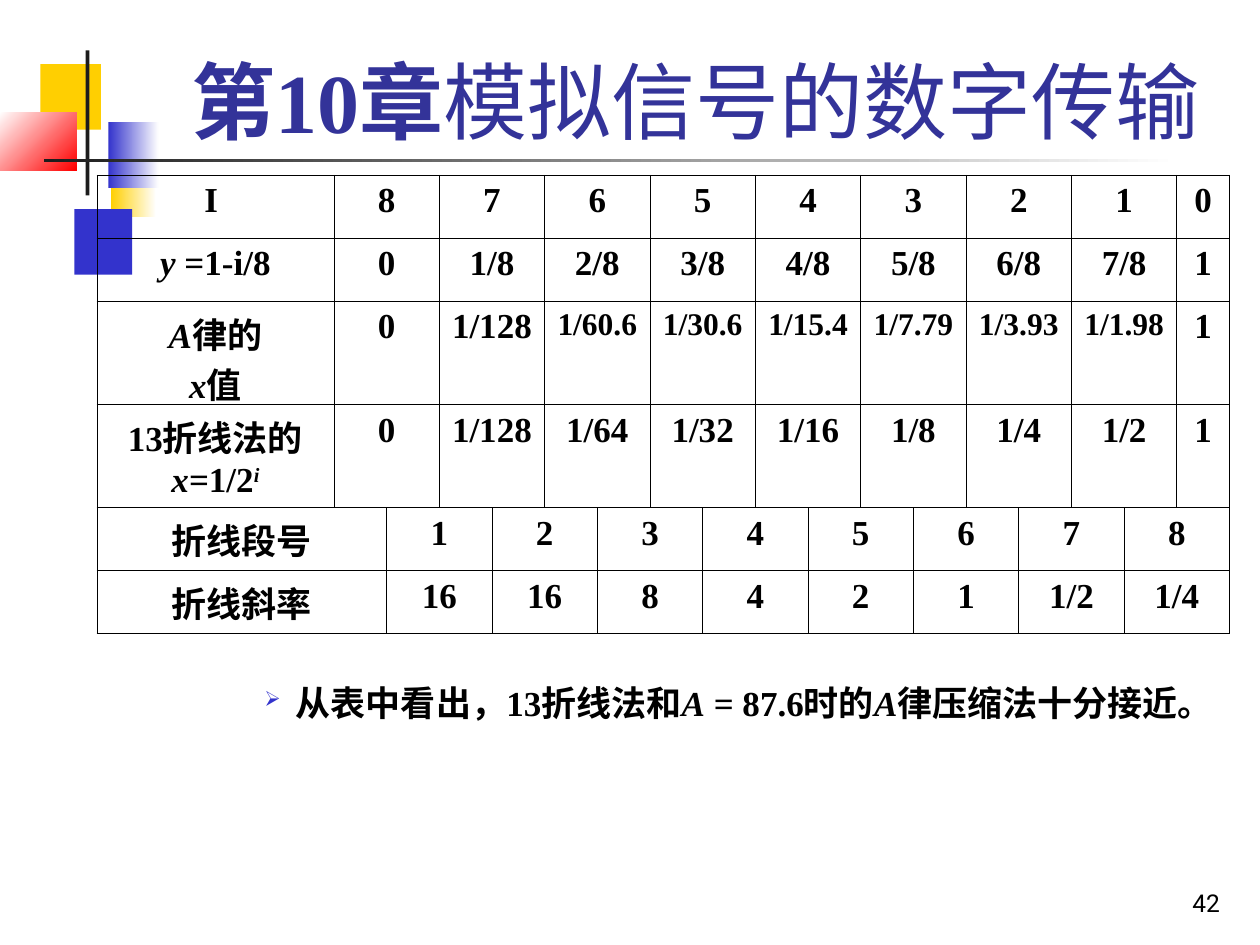
from lxml import etree
from pptx import Presentation
from pptx.dml.color import RGBColor
from pptx.enum import shapes, text
from pptx.oxml import ns
from pptx.util import Inches, Pt

HUE = {"gold": "FFCF01", "blue": "3333CC", "red": "FF0000", "dark": "1C1C1C",
       "white": "FFFFFF", "black": "000000", "title": "333399"}
SERIF = "Times New Roman"
DECOR = [
    ((0.88, 1.2, 0.36, 0.52), ("gold", "white"), 0),
    ((0.59, 1.66, 0.46, 0.52), ("blue",), 0),
    ((0.32, 0.51, 0.48, 0.52), ("gold",), 0),
    ((0.86, 0.97, 0.4, 0.52), ("blue", "white"), 0),
    ((0, 0.89, 0.61, 0.46), ("white", "red"), 315),
    ((0.68, 0.4, 0.03, 1.15), ("dark",), 0),
    ((0.35, 1.26, 9, 0.03), ("dark", "white"), 0),
]
TITLE = ("第10章", "模拟信号的数字传输")
NOTE = "从表中看出，13折线法和*A* = 87.6时的*A*律压缩法十分接近。"
ROWS = [
    ("I ", "8 7 6 5 4 3 2 1 0"),
    ("*y* =1-i/8", "0 1/8 2/8 3/8 4/8 5/8 6/8 7/8 1"),
    ("*A*律的\n*x*值", "0 1/128 1/60.6 1/30.6 1/15.4 1/7.79 1/3.93 1/1.98 1"),
    ("13折线法的\n*x*=1/2*^i*", "0 1/128 1/64 1/32 1/16 1/8 1/4 1/2 1"),
    ("折线段号", "1 2 3 4 5 6 7 8"),
    ("折线斜率", "16 16 8 4 2 1 1/2 1/4"),
]
HIGH = [0.5, 0.5, 0.82, 0.82, 0.5, 0.5]
GRID = (0.77, 1.39, 8.99, 3.64)
HEAD, COLS = 1.88, 18


def rgb(hue):
    return RGBColor.from_string(HUE[hue])


def put(item, vals):
    for key, val in vals.items():
        setattr(item, key, val)


def add_run(para, words, hue="black", **vals):
    run = para.add_run()
    run.text = words
    put(run.font, {"name": SERIF, "size": Pt(20), "bold": True, **vals})
    run.font.color.rgb = rgb(hue)
    return run


def add_marked(para, words, size=20):
    """Write text whose starred parts are italic and caret parts raised."""
    for n, part in enumerate(words.split("*")):
        if part:
            run = add_run(para, part.lstrip("^"), size=Pt(size), italic=n % 2 == 1)
            if part.startswith("^"):
                run.font._element.set("baseline", "30000")


def add_node(owner, tag, **vals):
    return etree.SubElement(owner, ns.qn(tag), vals)


def add_decor(slide):
    for box, hues, angle in DECOR:
        rect = slide.shapes.add_shape(shapes.MSO_SHAPE.RECTANGLE, *map(Inches, box))
        rect.shadow.inherit = False
        rect.line.fill.background()
        if len(hues) == 1:
            rect.fill.solid()
            rect.fill.fore_color.rgb = rgb(hues[0])
            continue
        rect.fill.gradient()
        rect.fill.gradient_angle = angle
        for stop, hue in zip(rect.fill.gradient_stops, hues):
            stop.color.rgb = rgb(hue)


def add_title(slide):
    title = slide.shapes.title
    put(title, dict(zip(("left", "top", "width", "height"),
                        map(Inches, (1.26, 0.23, 8.52, 1.01)))))
    frame = title.text_frame
    put(frame, {"vertical_anchor": text.MSO_ANCHOR.BOTTOM, "word_wrap": True,
                "auto_size": text.MSO_AUTO_SIZE.NONE,
                "margin_left": Inches(0.05), "margin_right": Inches(0.05)})
    para = frame.paragraphs[0]
    para.alignment = text.PP_ALIGN.CENTER
    for words, bold in zip(TITLE, (True, False)):
        add_run(para, words, "title", size=Pt(48), bold=bold)


def add_box(slide, box, anchor):
    frame = slide.shapes.add_textbox(*map(Inches, box)).text_frame
    put(frame, {"word_wrap": True, "vertical_anchor": anchor})
    return frame.paragraphs[0]


def add_note(slide):
    para = add_box(slide, (0, 5.42, 10, 1.72), text.MSO_ANCHOR.TOP)
    para.line_spacing = 0.8
    props = para._p.get_or_add_pPr()
    props.set("marL", str(Inches(2.25)))
    props.set("indent", str(Inches(-0.25)))
    add_node(add_node(props, "a:buClr"), "a:srgbClr", val=HUE["blue"])
    add_node(props, "a:buSzPct", val="60000")
    add_node(props, "a:buChar", char="➢")
    add_marked(para, NOTE)


def add_number(slide):
    para = add_box(slide, (7.7, 6.83, 2.08, 0.5), text.MSO_ANCHOR.BOTTOM)
    para.alignment = text.PP_ALIGN.RIGHT
    add_run(para, "42", name="Roboto", size=Pt(14), bold=False)


def style_cell(cell):
    props = cell._tc.get_or_add_tcPr()
    for side in "LRTB":
        line = add_node(props, f"a:ln{side}", w=str(Pt(0.45)))
        add_node(add_node(line, "a:solidFill"), "a:srgbClr", val=HUE["black"])
    cell.fill.background()


def fill_cell(cell, words, size):
    frame = cell.text_frame
    for n, line in enumerate(words.split("\n")):
        para = frame.add_paragraph() if n else frame.paragraphs[0]
        para.alignment = text.PP_ALIGN.CENTER
        add_marked(para, line, size)


def add_grid(slide):
    table = slide.shapes.add_table(len(ROWS), COLS, *map(Inches, GRID)).table
    put(table, {"first_row": False, "horz_banding": False})
    for n, col in enumerate(table.columns):
        col.width = Inches((GRID[2] - HEAD) / (COLS - 1) if n else HEAD)
    for row, high in zip(table.rows, HIGH):
        row.height = Inches(high)
    for cell in table.iter_cells():
        style_cell(cell)
    for r, (label, vals) in enumerate(ROWS):
        words = [label, *vals.split()]
        first = 1 if len(words) == 10 else 2
        for n, word in enumerate(words):
            left = first + 2 * (n - 1) if n else 0
            last = min(left + 1, COLS - 1) if n else first - 1
            cell = table.cell(r, left)
            if last > left:
                cell.merge(table.cell(r, last))
            fill_cell(cell, word, 18 if "." in word else 20)


def main():
    deck = Presentation()
    put(deck, {"slide_width": Inches(10), "slide_height": Inches(7.5)})
    slide = deck.slides.add_slide(deck.slide_layouts[5])
    for build in (add_decor, add_title, add_number, add_note, add_grid):
        build(slide)
    deck.save("out.pptx")


if __name__ == "__main__":
    main()
